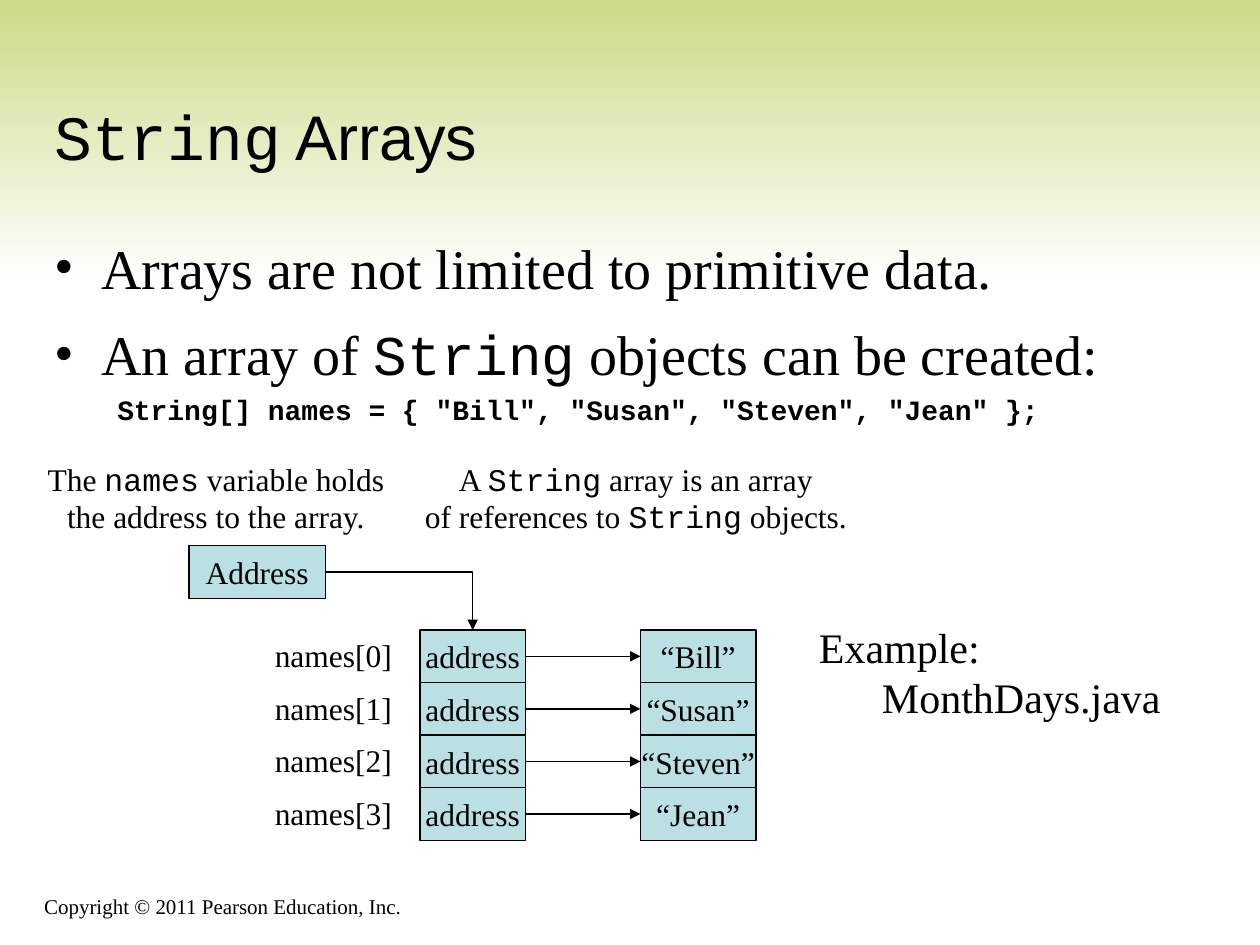
import pptx
import pptx.dml.color
import pptx.enum.shapes
import pptx.enum.text
import pptx.oxml.ns
import pptx.util
from lxml import etree

Cm = pptx.util.Cm
Pt = pptx.util.Pt
Align = pptx.enum.text.PP_ALIGN
Anchor = pptx.enum.text.MSO_ANCHOR
Shape = pptx.enum.shapes.MSO_SHAPE
Connector = pptx.enum.shapes.MSO_CONNECTOR
qn = pptx.oxml.ns.qn


def color(hex_string):
    return pptx.dml.color.RGBColor.from_string(hex_string)


class Deck:
    """Holds the style and the current slide."""
    serif, sans, mono = "Times New Roman", "Arial", "Courier New"
    ink, box_fill = "000000", "BBE0E3"
    line_width = 0.75

    def __init__(self, presentation):
        self.slide = presentation.slides.add_slide(presentation.slide_layouts[1])
        self.shapes = self.slide.shapes

    def set_words(self, paragraph, text, size, font=None, bold=False, align=Align.LEFT):
        """Words between backticks are set in the code font."""
        if "`" in text:
            for part in text.split("`"):
                paragraph.add_run().text = part
        else:
            paragraph.text = text
        paragraph.alignment = align
        for index, run in enumerate(paragraph.runs):
            run.font.name = self.mono if index % 2 and "`" in text else font or self.serif
            run.font.size = Pt(size)
            run.font.bold = bold
            run.font.color.rgb = color(self.ink)

    def indent(self, paragraph, left, first, bullet=None):
        properties = paragraph._p.get_or_add_pPr()
        properties.set("marL", str(int(Cm(left))))
        properties.set("indent", str(int(Cm(first))))
        if bullet:
            etree.SubElement(properties, qn("a:buFont")).set("typeface", self.serif)
            etree.SubElement(properties, qn("a:buChar")).set("char", bullet)
        else:
            etree.SubElement(properties, qn("a:buNone"))

    def place(self, shape, left, top, width, height):
        shape.left, shape.top = Cm(left), Cm(top)
        shape.width, shape.height = Cm(width), Cm(height)

    def banner(self, left, top, width, height, start, end):
        shape = self.shapes.add_shape(Shape.RECTANGLE, Cm(left), Cm(top), Cm(width), Cm(height))
        shape.shadow.inherit = False
        shape.line.fill.background()
        shape.fill.gradient()
        shape.fill.gradient_angle = 270
        for stop, hex_string in zip(shape.fill.gradient_stops, (start, end)):
            stop.color.rgb = color(hex_string)
        # Behind the placeholders
        self.shapes._spTree.insert(2, shape._element)

    def title(self, text, *box):
        shape = self.shapes.title
        self.place(shape, *box)
        frame = shape.text_frame
        frame.auto_size = pptx.enum.text.MSO_AUTO_SIZE.NONE
        frame.vertical_anchor = Anchor.BOTTOM
        self.set_words(frame.paragraphs[0], text, 36, self.sans)

    def body(self, bullets, code, *box):
        shape = self.slide.placeholders[1]
        self.place(shape, *box)
        frame = shape.text_frame
        frame.auto_size = pptx.enum.text.MSO_AUTO_SIZE.NONE
        frame.margin_top, frame.margin_right = Cm(0.25), 0
        for index, text in enumerate(bullets):
            paragraph = frame.add_paragraph() if index else frame.paragraphs[0]
            self.indent(paragraph, 0.95, -0.95, "•")
            paragraph.space_before = Pt(11 if index else 0)
            self.set_words(paragraph, text, 32)
        paragraph = frame.add_paragraph()
        paragraph.level = 1
        self.indent(paragraph, 2.06, -0.79)
        paragraph.space_before = Pt(3)
        self.set_words(paragraph, code, 16, self.mono, bold=True)

    def text(self, lines, left, top, width, height, size=18, align=Align.LEFT,
             wrap=True, anchor=Anchor.TOP):
        shape = self.shapes.add_textbox(Cm(left), Cm(top), Cm(width), Cm(height))
        frame = shape.text_frame
        frame.word_wrap = wrap
        frame.vertical_anchor = anchor
        for index, line in enumerate(lines):
            paragraph = frame.add_paragraph() if index else frame.paragraphs[0]
            self.set_words(paragraph, line, size, align=align)
        return shape

    def cell(self, text, left, top, width, height):
        shape = self.shapes.add_shape(Shape.RECTANGLE, Cm(left), Cm(top), Cm(width), Cm(height))
        shape.shadow.inherit = False
        shape.fill.solid()
        shape.fill.fore_color.rgb = color(self.box_fill)
        shape.line.color.rgb = color(self.ink)
        shape.line.width = Pt(self.line_width)
        shape.text_frame.word_wrap = False
        shape.text_frame.vertical_anchor = Anchor.MIDDLE
        self.set_words(shape.text_frame.paragraphs[0], text, 18, align=Align.CENTER)
        return shape

    def arrow(self, source, target, target_site=1, kind=Connector.STRAIGHT):
        """Runs from the right side of source to a side of target."""
        connector = self.shapes.add_connector(kind, 0, 0, 0, 0)
        connector.begin_connect(source, 3)
        connector.end_connect(target, target_site)
        connector.line.color.rgb = color(self.ink)
        connector.line.width = Pt(self.line_width)
        properties = connector._element.spPr
        etree.SubElement(properties.find(qn("a:ln")), qn("a:tailEnd")).set("type", "triangle")
        etree.SubElement(properties, qn("a:effectLst"))
        if kind == Connector.ELBOW:
            # A single bend
            properties.find(qn("a:prstGeom")).set("prst", "bentConnector2")


def main():
    presentation = pptx.Presentation()
    presentation.slide_width, presentation.slide_height = Cm(25.4), Cm(19.05)
    deck = Deck(presentation)

    # Background band and copyright line
    deck.banner(0, -0.2, 25.4, 5.92, "CAD881", "FFFFFF")
    deck.text(["Copyright © 2011 Pearson Education, Inc."], 0.64, 17.58, 15.44, 1.07,
              size=12, anchor=Anchor.BOTTOM)

    # Title and list
    deck.title("`String` Arrays", 0.84, 0.84, 23.93, 2.77)
    deck.body(["Arrays are not limited to primitive data.",
               "An array of `String` objects can be created:"],
              'String[] names = { "Bill", "Susan", "Steven", "Jean" };',
              0.84, 4.45, 23.04, 4.7)

    # Captions
    deck.text(["The `names` variable holds", "the address to the array."],
              0.71, 9.14, 7.29, 1.78, align=Align.CENTER, wrap=False)
    deck.text(["A `String` array is an array", "of references to `String` objects."],
              8.31, 9.14, 9.02, 1.78, align=Align.CENTER, wrap=False)

    # Array diagram
    row_height, first_row = 1.06, 12.7
    variable = deck.cell("Address", 3.81, 11, 2.75, row_height)
    for index, name in enumerate(["Bill", "Susan", "Steven", "Jean"]):
        top = first_row + index * row_height
        deck.text([f"names[{index}]"], 5.29, top, 3.23, 1.02)
        reference = deck.cell("address", 8.47, top, 2.12, row_height)
        value = deck.cell(f"“{name}”", 12.91, top, 2.33, row_height)
        deck.arrow(reference, value)
        if index == 0:
            deck.arrow(variable, reference, 0, Connector.ELBOW)

    # Example file
    example = deck.text(["Example:\vMonthDays.java"], 16.26, 12.4, 7.39, 2.29,
                        size=24, wrap=False)
    deck.indent(example.text_frame.paragraphs[0], 1.27, -1.27)

    presentation.save("out.pptx")


if __name__ == "__main__":
    main()
